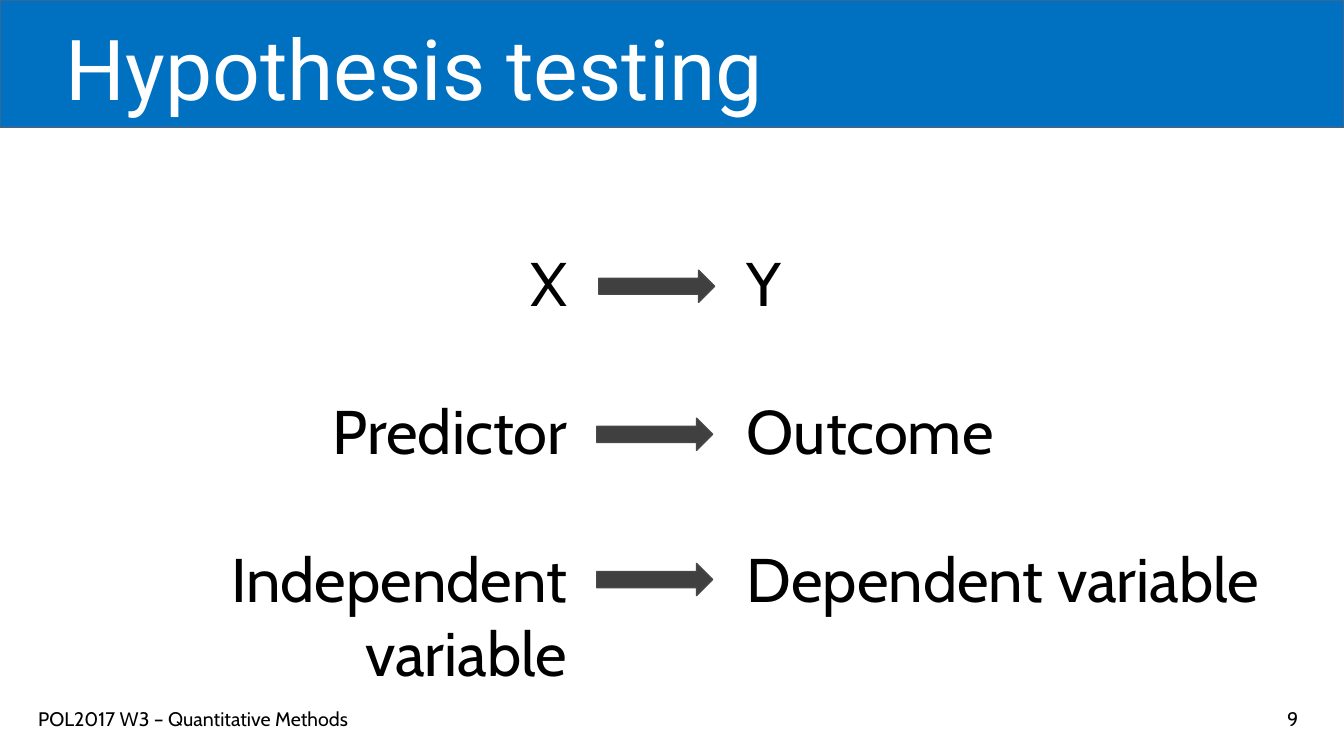
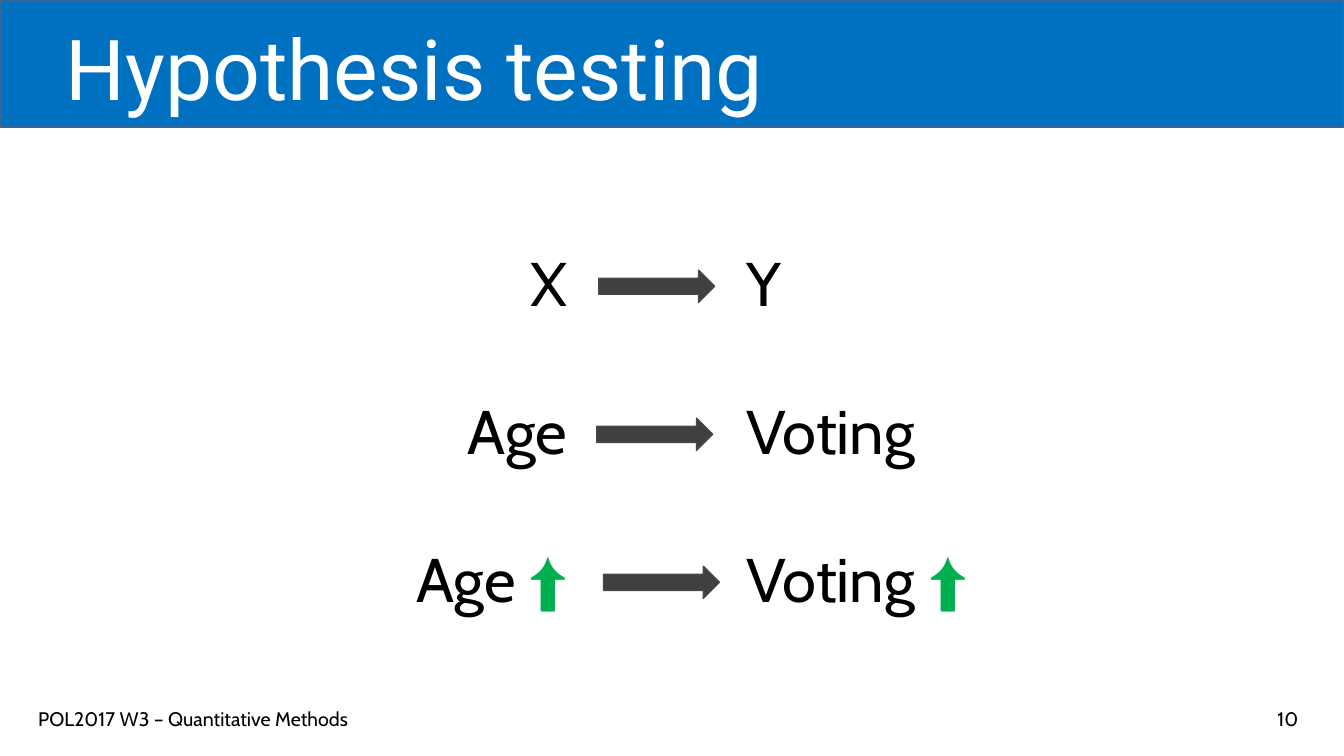
from pptx import Presentation
from pptx.dml.color import RGBColor
from pptx.enum.shapes import MSO_SHAPE
from pptx.enum.text import MSO_ANCHOR, PP_ALIGN
from pptx.util import Cm, Pt

# Content: each row is (cause, effect, left and top of its arrow in cm)
# Each cause or effect is a list of (text, colour) spans.
BLACK, WHITE, GREEN = "000000", "FFFFFF", "00B050"
BLUE, BLUE_EDGE = "0070C0", "376795"
GREY, GREY_EDGE = "404040", "484848"

TITLE = "Hypothesis testing"
FOOTER = "POL2017 W3 – Quantitative Methods"
FIRST_NUMBER = 9


def plain(text):
    return [(text, BLACK)]


XY_ROW = (plain("X"), plain("Y"), 15.09, 6.81)
SLIDES = [
    [
        XY_ROW,
        (plain("Predictor"), plain("Outcome"), 15.04, 10.54),
        (plain("Independent variable"), plain("Dependent variable"), 15.04, 14.2),
    ],
    [
        XY_ROW,
        (plain("Age"), plain("Voting"), 15.04, 10.54),
        ([("Age ", BLACK), ("⬆", GREEN)], [("Voting", BLACK), (" ⬆", GREEN)], 15.21, 14.27),
    ],
]

# Shared measures in cm, and the gap between rows in points
WIDTH, HEIGHT = 33.87, 19.05
BAND_HEIGHT = 3.2
COLUMN_TOP, COLUMN_HEIGHT = 6.05, 9.65
FOOTER_TOP, FOOTER_HEIGHT = 17.68, 1.02
ARROW_WIDTH, ARROW_HEIGHT = 2.92, 0.81
ROW_GAP = 52.9


def colour(value):
    return RGBColor.from_string(value)


def add_block(page, kind, left, top, width, height, fill, edge):
    block = page.shapes.add_shape(kind, Cm(left), Cm(top), Cm(width), Cm(height))
    block.shadow.inherit = False
    block.fill.solid()
    block.fill.fore_color.rgb = colour(fill)
    block.line.color.rgb = colour(edge)
    block.line.width = Pt(1)


def add_text(page, paragraphs, left, top, width, height, size, font="Cabin",
             align=PP_ALIGN.LEFT, anchor=MSO_ANCHOR.TOP, line_spacing=1.0, gap=0):
    box = page.shapes.add_textbox(Cm(left), Cm(top), Cm(width), Cm(height))
    frame = box.text_frame
    frame.word_wrap = True
    frame.vertical_anchor = anchor
    for index, spans in enumerate(paragraphs):
        para = frame.add_paragraph() if index else frame.paragraphs[0]
        para.alignment = align
        para.line_spacing = line_spacing
        para.space_before = Pt(gap if index else 0)
        for text, text_colour in spans:
            span = para.add_run()
            span.text = text
            span.font.size = Pt(size)
            span.font.name = font
            span.font.color.rgb = colour(text_colour)


def add_frame(page, number):
    # Title band and footer
    add_block(page, MSO_SHAPE.RECTANGLE, 0, 0, WIDTH, BAND_HEIGHT, BLUE, BLUE_EDGE)
    add_text(page, [[(TITLE, WHITE)]], 1.4, 0.25, 32.46, BAND_HEIGHT, 60,
             font="Roboto", anchor=MSO_ANCHOR.MIDDLE, line_spacing=0.9)
    add_text(page, [plain(FOOTER)], 0.71, FOOTER_TOP, 10.72, FOOTER_HEIGHT, 14)
    add_text(page, [plain(str(number))], 25.81, FOOTER_TOP, 7.16, FOOTER_HEIGHT, 14,
             align=PP_ALIGN.RIGHT)


def add_rows(page, rows):
    # Causes on the left, effects on the right, arrows between them
    causes, effects, lefts, tops = zip(*rows)
    columns = [(causes, 0.71, 13.84, PP_ALIGN.RIGHT), (effects, 18.57, 15.8, PP_ALIGN.LEFT)]
    for paragraphs, left, width, align in columns:
        add_text(page, paragraphs, left, COLUMN_TOP, width, COLUMN_HEIGHT, 44,
                 align=align, gap=ROW_GAP)
    for left, top in zip(lefts, tops):
        add_block(page, MSO_SHAPE.RIGHT_ARROW, left, top, ARROW_WIDTH, ARROW_HEIGHT,
                  GREY, GREY_EDGE)


def main():
    deck = Presentation()
    deck.slide_width, deck.slide_height = Cm(WIDTH), Cm(HEIGHT)
    for number, rows in enumerate(SLIDES, FIRST_NUMBER):
        page = deck.slides.add_slide(deck.slide_layouts[6])
        add_frame(page, number)
        add_rows(page, rows)
    deck.save("out.pptx")


if __name__ == "__main__":
    main()
